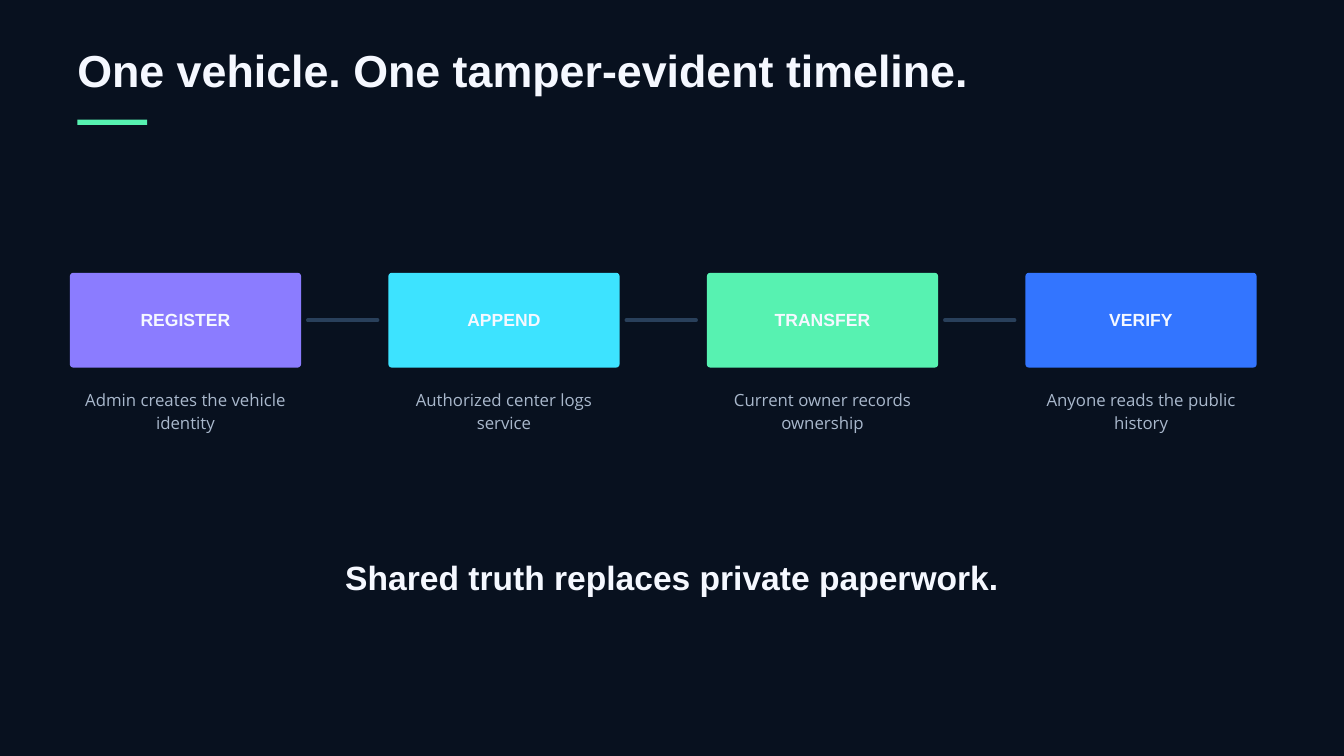
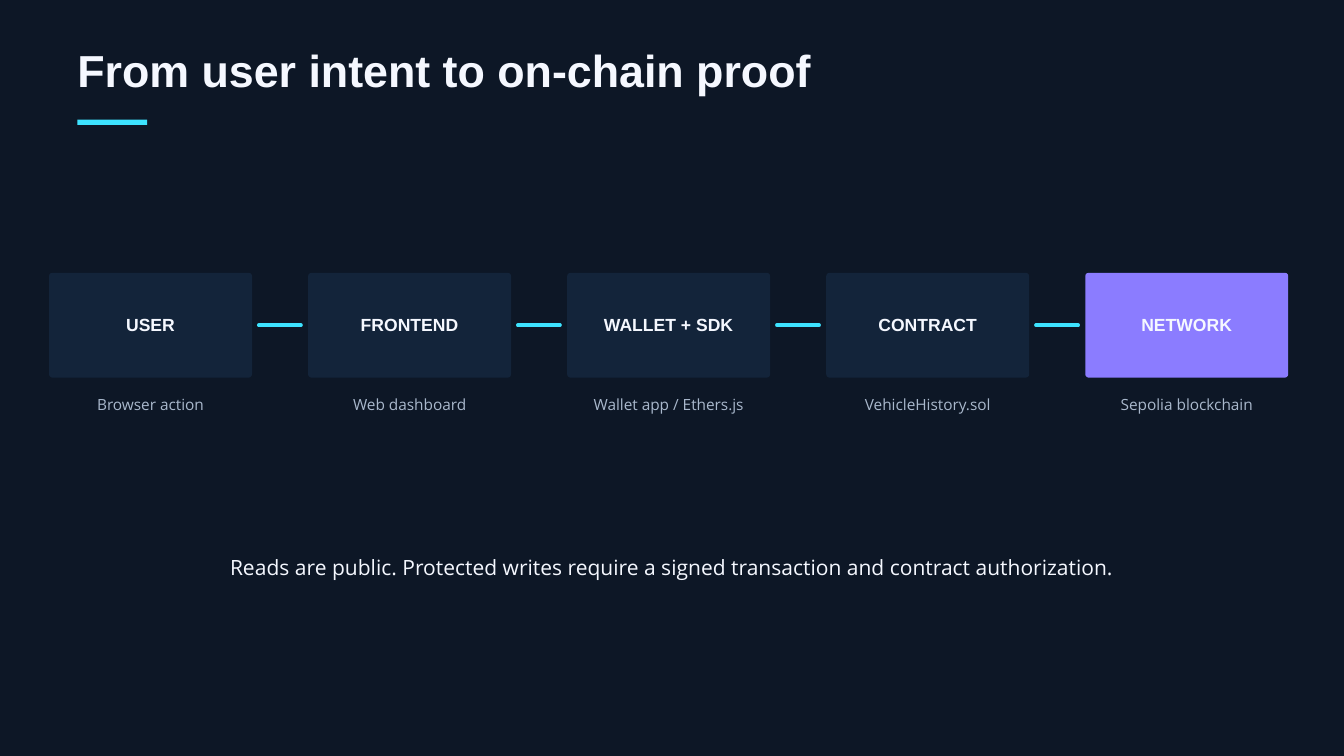
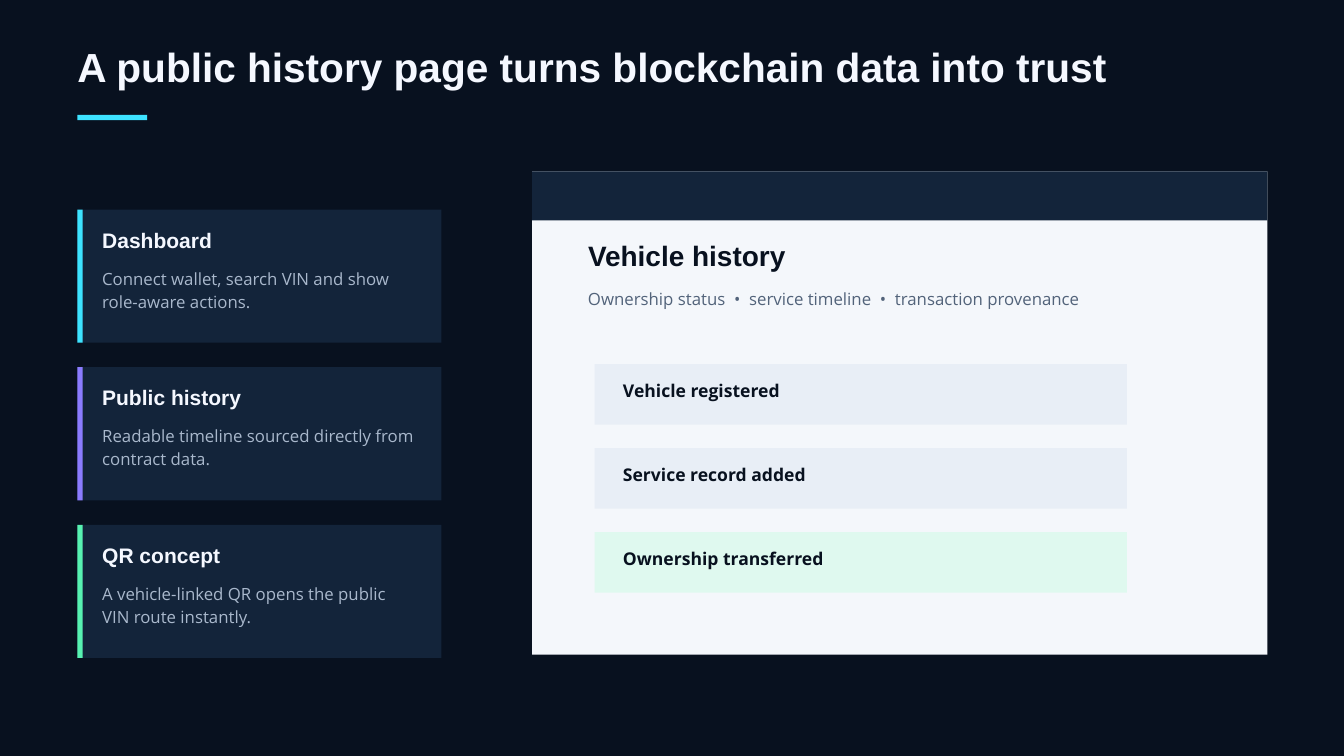
"""Build three dark slides on a vehicle history kept on a blockchain."""
from lxml import etree
from pptx import Presentation
from pptx.dml.color import RGBColor
from pptx.enum.shapes import MSO_CONNECTOR, MSO_SHAPE
from pptx.enum.text import MSO_ANCHOR, PP_ALIGN
from pptx.oxml.ns import qn
from pptx.util import Inches, Pt

RECTANGLE, ROUNDED = MSO_SHAPE.RECTANGLE, MSO_SHAPE.ROUNDED_RECTANGLE
STRAIGHT = MSO_CONNECTOR.STRAIGHT
TOP, MIDDLE = MSO_ANCHOR.TOP, MSO_ANCHOR.MIDDLE
LEFT, CENTER = PP_ALIGN.LEFT, PP_ALIGN.CENTER

NIGHT, DUSK, NAVY, STEEL = "08111F", "0D1726", "13243A", "29405B"
WHITE, MIST, SLATE = "F5F8FF", "A9B8CC", "52637A"
PAPER, PALE, PALE_GREEN = "F4F7FB", "E8EEF6", "DFF9EF"
CYAN, VIOLET, GREEN, BLUE = "3DE3FF", "8B7CFF", "57F2B1", "3375FF"

# Each style: font, size, bold, colour, exact line spacing
TITLE = ("Arial", 48, True, WHITE, 50.4)
SMALL_TITLE = ("Arial", 43.5, True, WHITE, 45.7)
STEP_LABEL = ("Arial", 18.8, True, WHITE, 26.2)
BODY = ("Open Sans", 18, False, MIST, 24.3)
SMALL_BODY = ("Open Sans", 16.5, False, MIST, 22.3)
CLAIM = ("Arial", 36, True, WHITE, 50.4)
NOTE = ("Open Sans", 22.5, False, WHITE, 30.4)
CARD_HEAD = ("Arial", 22.5, True, WHITE, 24.8)
PAGE_HEAD = ("Arial", 30, True, NIGHT, 42)
PAGE_LINE = ("Open Sans", 18, False, SLATE, 25.2)
EVENT = ("Open Sans", 18.8, True, NIGHT, 26.2)

LIFECYCLE = [
    ("REGISTER", "Admin creates the vehicle identity", VIOLET),
    ("APPEND", "Authorized center logs service", CYAN),
    ("TRANSFER", "Current owner records ownership", GREEN),
    ("VERIFY", "Anyone reads the public history", BLUE),
]
ARCHITECTURE = [
    ("USER", "Browser action", NAVY),
    ("FRONTEND", "Web dashboard", NAVY),
    ("WALLET + SDK", "Wallet app / Ethers.js", NAVY),
    ("CONTRACT", "VehicleHistory.sol", NAVY),
    ("NETWORK", "Sepolia blockchain", VIOLET),
]
CARDS = [
    ("Dashboard", "Connect wallet, search VIN and show role-aware actions.", CYAN),
    ("Public history", "Readable timeline sourced directly from contract data.", VIOLET),
    ("QR concept", "A vehicle-linked QR opens the public VIN route instantly.", GREEN),
]
EVENTS = [
    ("Vehicle registered", PALE),
    ("Service record added", PALE),
    ("Ownership transferred", PALE_GREEN),
]


def rgb(code):
    return RGBColor.from_string(code)


def write(holder, text, style, align=LEFT, anchor=TOP, insets=(0, 0, 0, 0)):
    font_name, size, bold, color, spacing = style
    frame = holder.text_frame
    frame.word_wrap = True
    frame.vertical_anchor = anchor
    (frame.margin_left, frame.margin_top,
     frame.margin_right, frame.margin_bottom) = map(Inches, insets)
    paragraph = frame.paragraphs[0]
    paragraph.alignment = align
    paragraph.line_spacing = Pt(spacing)
    run = paragraph.add_run()
    run.text = text
    run.font.name, run.font.size, run.font.bold = font_name, Pt(size), bold
    run.font.color.rgb = rgb(color)


def add_text(slide, box, text, style, align=LEFT):
    write(slide.shapes.add_textbox(*map(Inches, box)), text, style, align)


def add_block(slide, box, color, outline=RECTANGLE):
    block = slide.shapes.add_shape(outline, *map(Inches, box))
    block.shadow.inherit = False
    block.fill.solid()
    block.fill.fore_color.rgb = rgb(color)
    block.line.fill.background()
    return block


def add_link(slide, start, end, y, color):
    link = slide.shapes.add_connector(STRAIGHT, *map(Inches, (start, y, end, y)))
    link.line.color.rgb = rgb(color)
    link.line.width = Pt(3.75)
    properties = link._element.spPr
    properties.find(qn("a:ln")).set("cap", "rnd")
    etree.SubElement(properties, qn("a:effectLst"))


def add_slide(deck, title, background, accent, style=TITLE, title_top=0.73, rule_top=1.78):
    slide = deck.slides.add_slide(deck.slide_layouts[5])
    slide.background.fill.solid()
    slide.background.fill.fore_color.rgb = rgb(background)
    heading = slide.shapes.title
    heading.left, heading.top, heading.width, heading.height = map(
        Inches, (1.15, title_top, 15.62, 0.82))
    write(heading, title, style)
    add_block(slide, (1.15, rule_top, 1.04, 0.08), accent)
    return slide


def add_flow(slide, steps, first, last, width, height, link_length, link_color,
             caption_top, caption_height, caption_style):
    top, link_gap = 4.06, 0.1
    pitch = (last - first) / (len(steps) - 1)
    for index, (label, caption, color) in enumerate(steps):
        left = first + index * pitch
        step = add_block(slide, (left, top, width, height), color, ROUNDED)
        step.adjustments[0] = 0.05 / height
        write(step, label, STEP_LABEL, CENTER, MIDDLE, (0.06, 0.06, 0.06, 0.12))
        add_text(slide, (left, caption_top, width, caption_height),
                 caption, caption_style, CENTER)
        if index < len(steps) - 1:
            start = left + width + link_gap
            add_link(slide, start, start + link_length, top + height / 2, link_color)


def build_timeline(deck):
    slide = add_slide(deck, "One vehicle. One tamper-evident timeline.", NIGHT, GREEN)
    add_flow(slide, LIFECYCLE, 1.04, 15.26, 3.44, 1.41, 1.04, STEEL, 5.76, 0.65, BODY)
    add_text(slide, (3.44, 8.19, 13.12, 0.74),
             "Shared truth replaces private paperwork.", CLAIM, CENTER)


def build_architecture(deck):
    slide = add_slide(deck, "From user intent to on-chain proof", DUSK, CYAN)
    add_flow(slide, ARCHITECTURE, 0.73, 16.15, 3.02, 1.56, 0.63, CYAN, 5.85, 0.3, SMALL_BODY)
    add_text(slide, (3.23, 8.2, 13.54, 0.4),
             "Reads are public. Protected writes require a signed transaction "
             "and contract authorization.", NOTE, CENTER)


def build_history_page(deck):
    slide = add_slide(deck, "A public history page turns blockchain data into trust",
                      NIGHT, CYAN, SMALL_TITLE, 0.72, 1.71)
    add_block(slide, (7.92, 2.55, 10.94, 7.19), PAPER)
    add_block(slide, (7.92, 2.55, 10.94, 0.73), NAVY)
    add_text(slide, (8.75, 3.46, 7.29, 0.64), "Vehicle history", PAGE_HEAD)
    add_text(slide, (8.75, 4.24, 8.33, 0.33),
             "Ownership status  •  service timeline  •  transaction provenance", PAGE_LINE)
    for index, (event, color) in enumerate(EVENTS):
        row = add_block(slide, (8.85, 5.42 + index * 1.25, 7.92, 0.9), color)
        write(row, event, EVENT, insets=(0.42, 0.18, 0.42, 0))
    for index, (head, body, accent) in enumerate(CARDS):
        top = 3.12 + index * 2.345
        add_block(slide, (1.15, top, 5.42, 1.98), NAVY)
        add_block(slide, (1.15, top, 0.08, 1.98), accent)
        add_text(slide, (1.52, top + 0.29, 4.69, 0.4), head, CARD_HEAD)
        add_text(slide, (1.52, top + 0.84, 4.69, 0.64), body, BODY)


def main():
    deck = Presentation()
    deck.slide_width, deck.slide_height = Inches(20), Inches(11.25)
    build_timeline(deck)
    build_architecture(deck)
    build_history_page(deck)
    deck.save("out.pptx")


if __name__ == "__main__":
    main()
